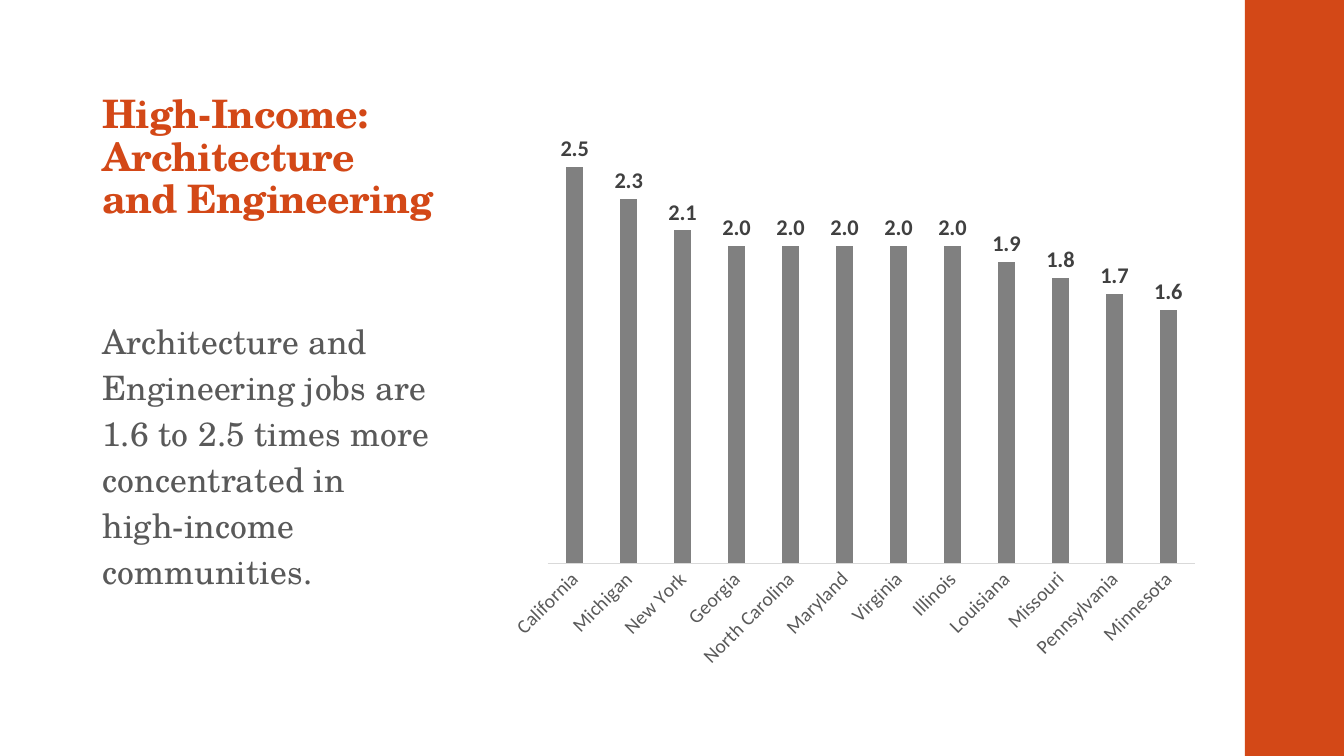
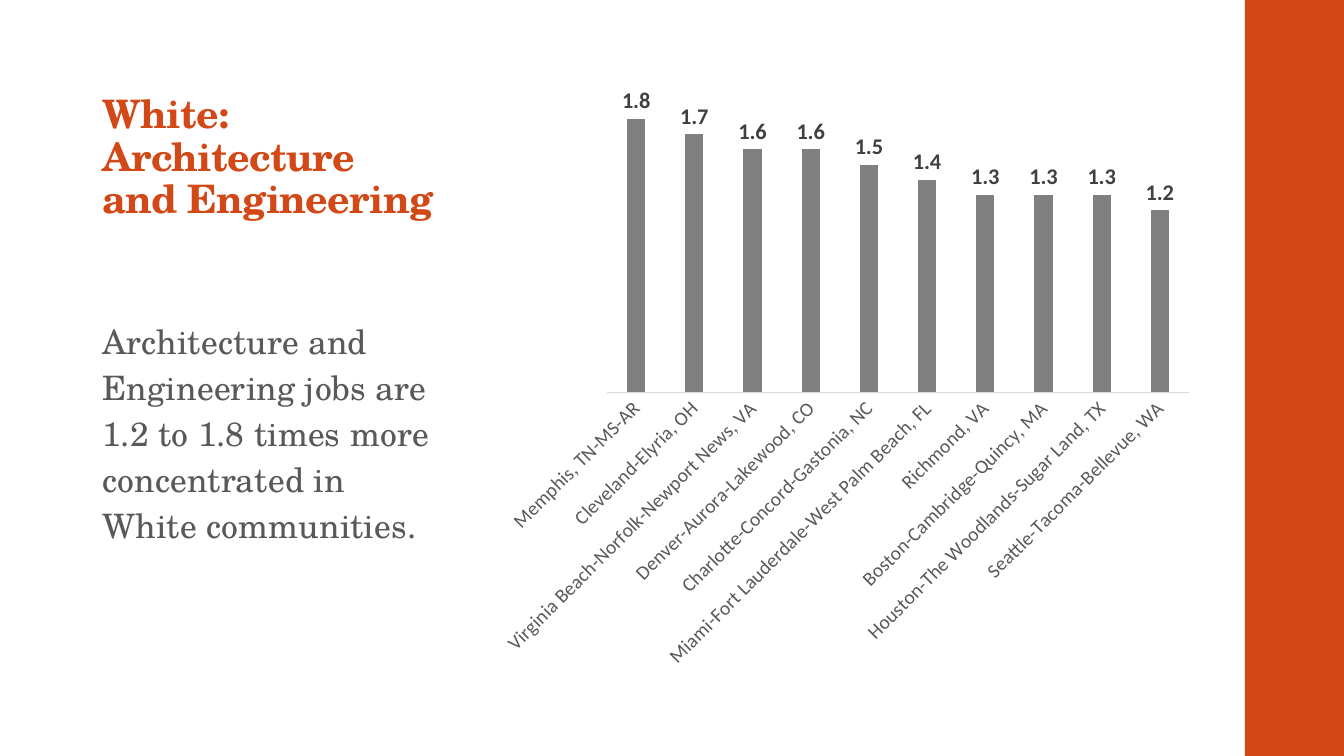
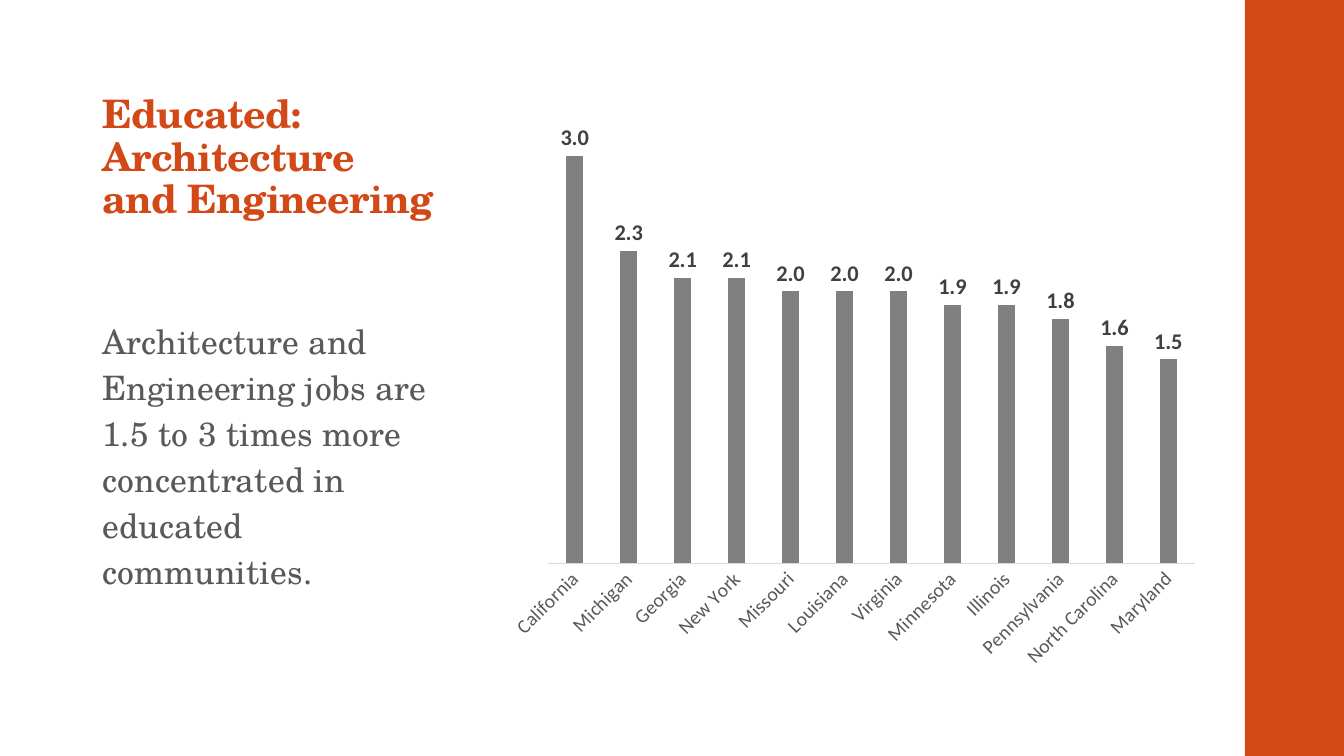
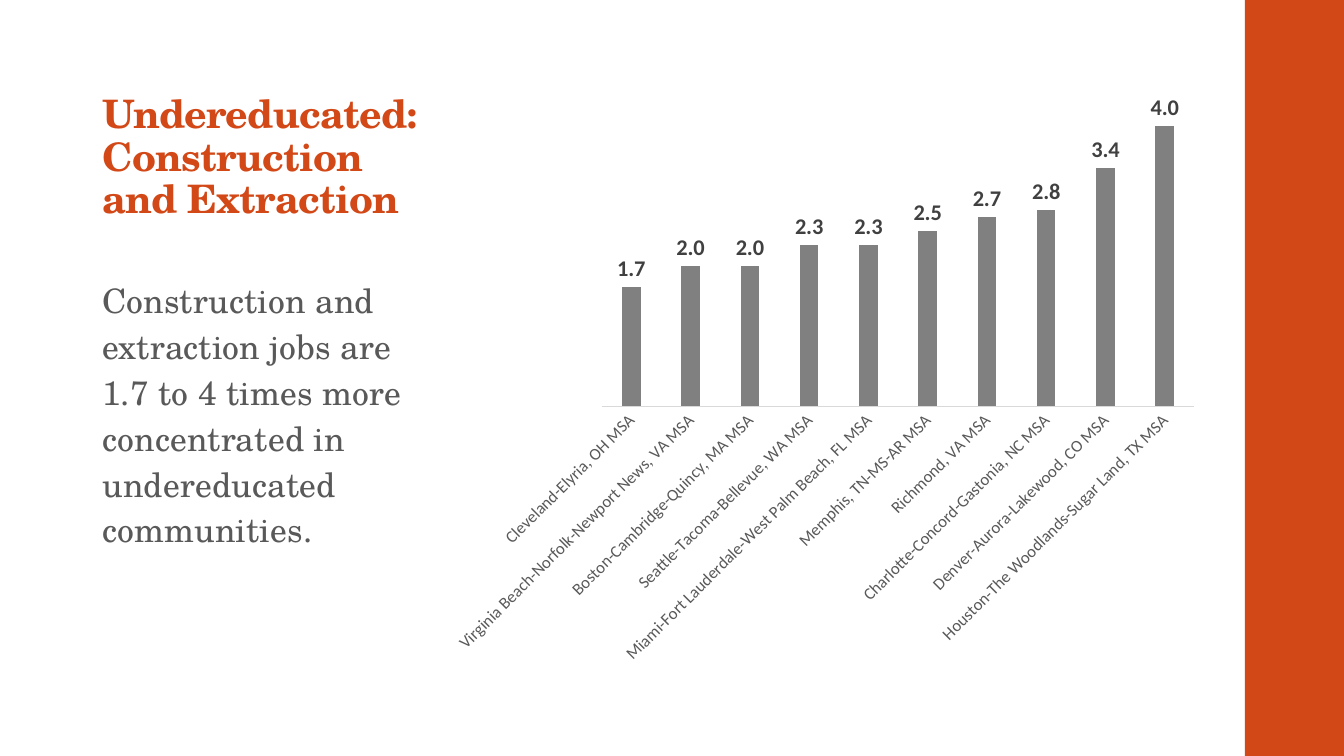
"""Build four slides on job concentration, each with a message and a column chart."""
from dataclasses import dataclass

from lxml import etree
from pptx import Presentation
from pptx.chart.data import CategoryChartData
from pptx.dml.color import RGBColor
from pptx.enum.chart import XL_CHART_TYPE, XL_LABEL_POSITION, XL_TICK_LABEL_POSITION, XL_TICK_MARK
from pptx.enum.shapes import MSO_SHAPE
from pptx.enum.text import MSO_ANCHOR
from pptx.oxml import parse_xml
from pptx.oxml.ns import nsdecls, qn
from pptx.util import Pt

COLUMNS = XL_CHART_TYPE.COLUMN_CLUSTERED
OUTSIDE_END = XL_LABEL_POSITION.OUTSIDE_END
NEXT_TO_AXIS = XL_TICK_LABEL_POSITION.NEXT_TO_AXIS
NO_TICK = XL_TICK_MARK.NONE
RECTANGLE = MSO_SHAPE.RECTANGLE
TOP, BOTTOM = MSO_ANCHOR.TOP, MSO_ANCHOR.BOTTOM


@dataclass(frozen=True)
class Theme:
    """Colours, fonts and type sizes."""
    accent: RGBColor = RGBColor(0xD3, 0x48, 0x17)
    text: RGBColor = RGBColor(0x59, 0x59, 0x59)
    value: RGBColor = RGBColor(0x40, 0x40, 0x40)
    column: RGBColor = RGBColor(0x80, 0x80, 0x80)
    axis: RGBColor = RGBColor(0xD9, 0xD9, 0xD9)
    black: RGBColor = RGBColor(0, 0, 0)
    text_font: str = "TeX Gyre Schola"
    chart_font: str = "Calibri"
    title_size: float = 28
    body_size: float = 24
    value_size: float = 16
    chart_size: float = 10


class Deck:
    """Holds the presentation, its theme and the current slide."""

    def __init__(self, theme):
        """Start an empty widescreen presentation."""
        self.theme = theme
        self.slide = None
        self.presentation = Presentation()
        self.presentation.slide_width = Pt(960)
        self.presentation.slide_height = Pt(540)

    def add_slide(self):
        """Add a blank slide with the side band."""
        self.slide = self.presentation.slides.add_slide(self.presentation.slide_layouts[6])
        band = self.slide.shapes.add_shape(RECTANGLE, Pt(889.2), 0, Pt(70.8), Pt(540))
        band.shadow.inherit = False
        band.fill.solid()
        band.fill.fore_color.rgb = self.theme.accent
        band.line.fill.background()

    def style_font(self, font, name, size, color, bold=False):
        """Set the face, size, colour and weight of a font."""
        font.name = name
        font.size = Pt(size)
        font.color.rgb = color
        font.bold = bold

    def add_text(self, text, top, height, anchor, margin_top, size, color, bold, spacing):
        """Add a text box in the left column and return its paragraph."""
        box = self.slide.shapes.add_textbox(Pt(66.2), Pt(top), Pt(252), Pt(height))
        frame = box.text_frame
        frame.word_wrap = True
        frame.vertical_anchor = anchor
        frame.margin_top = Pt(margin_top)
        frame.text = text
        paragraph = frame.paragraphs[0]
        run = paragraph.runs[0]
        self.style_font(run.font, self.theme.text_font, size, color, bold)
        run._r.get_or_add_rPr().set("spc", str(spacing))
        return paragraph

    def add_title(self, text):
        """Add the bold title, standing on the bottom of its box."""
        theme = self.theme
        paragraph = self.add_text(text, 36, 126, BOTTOM, 2.2, theme.title_size,
                                  theme.accent, True, -50)
        paragraph.line_spacing = 0.9

    def add_body(self, text, drop):
        """Add the message, lowered by the given length inside its box."""
        theme = self.theme
        paragraph = self.add_text(text, 165.6, 300.2, TOP, 3.6 + drop, theme.body_size,
                                  theme.text, False, 10)
        paragraph.line_spacing = 1.14
        paragraph.space_before = Pt(8)
        paragraph.space_after = Pt(2)

    def add_chart(self, data, maximum, left, label_size, plot_area):
        """Add a column chart that ends at the shared right edge."""
        theme = self.theme
        width, height = 864 - left, 432
        chart_data = CategoryChartData()
        chart_data.categories = list(data)
        chart_data.add_series("Series 1", list(data.values()))
        chart = self.slide.shapes.add_chart(COLUMNS, Pt(left), Pt(54), Pt(width), Pt(height),
                                            chart_data).chart
        chart.has_title = False
        chart.has_legend = False
        self.style_font(chart.font, theme.text_font, theme.chart_size, theme.black)
        self.style_axes(chart, maximum, label_size)
        self.style_columns(chart.plots[0])
        if plot_area:
            self.place_plot(chart, plot_area, width, height)

    def style_axes(self, chart, maximum, label_size):
        """Hide the value axis and slant the category labels."""
        value_axis = chart.value_axis
        value_axis.minimum_scale = 0
        value_axis.maximum_scale = maximum
        value_axis.has_major_gridlines = False
        value_axis.visible = False
        category_axis = chart.category_axis
        for axis in (value_axis, category_axis):
            axis.major_tick_mark = NO_TICK
            axis.minor_tick_mark = NO_TICK
            axis.tick_label_position = NEXT_TO_AXIS
        category_axis.format.line.color.rgb = self.theme.axis
        category_axis.format.line.width = Pt(0.75)
        self.style_font(category_axis.tick_labels.font, self.theme.chart_font, label_size,
                        self.theme.text)
        label_body = category_axis._element.find(qn("c:txPr")).find(qn("a:bodyPr"))
        label_body.set("rot", "-2700000")
        label_body.set("vert", "horz")

    def style_columns(self, plot):
        """Colour the columns and label them with their values."""
        plot.vary_by_categories = False
        plot.gap_width = 219
        plot.overlap = -27
        fill = plot.series[0].format.fill
        fill.solid()
        fill.fore_color.rgb = self.theme.column
        plot.has_data_labels = True
        labels = plot.data_labels
        labels.show_value = True
        labels.position = OUTSIDE_END
        labels.number_format = "#,##0.0"
        labels.number_format_is_linked = False
        self.style_font(labels.font, self.theme.chart_font, self.theme.value_size,
                        self.theme.value, True)

    def place_plot(self, chart, plot_area, width, height):
        """Fix the inner plot area, given in points within the chart."""
        layout = parse_xml(f"<c:layout {nsdecls('c')}><c:manualLayout/></c:layout>")
        settings = [("layoutTarget", "inner"), ("xMode", "edge"), ("yMode", "edge")]
        for name, length, whole in zip("xywh", plot_area, (width, height) * 2):
            settings.append((name, length / whole))
        for name, value in settings:
            etree.SubElement(layout[0], qn(f"c:{name}")).set("val", str(value))
        plot_element = chart._chartSpace.chart.plotArea
        for previous in plot_element.findall(qn("c:layout")):
            plot_element.remove(previous)
        plot_element.insert(0, layout)

    def add_finding(self, title, body, data, maximum, drop=55.8, left=355, label_size=14,
                    plot_area=None):
        """Add a slide with a title, a message and its chart."""
        self.add_slide()
        self.add_title(title)
        self.add_chart(data, maximum, left, label_size, plot_area)
        self.add_body(body, drop)


HIGH_INCOME = {
    "California": 2.5, "Michigan": 2.3, "New York": 2.1, "Georgia": 2.0,
    "North Carolina": 2.0, "Maryland": 2.0, "Virginia": 2.0, "Illinois": 2.0,
    "Louisiana": 1.9, "Missouri": 1.8, "Pennsylvania": 1.7, "Minnesota": 1.6,
}
WHITE = {
    "Memphis, TN-MS-AR": 1.8,
    "Cleveland-Elyria, OH": 1.7,
    "Virginia Beach-Norfolk-Newport News, VA": 1.6,
    "Denver-Aurora-Lakewood, CO": 1.6,
    "Charlotte-Concord-Gastonia, NC": 1.5,
    "Miami-Fort Lauderdale-West Palm Beach, FL": 1.4,
    "Richmond, VA": 1.3,
    "Boston-Cambridge-Quincy, MA": 1.3,
    "Houston-The Woodlands-Sugar Land, TX": 1.3,
    "Seattle-Tacoma-Bellevue, WA": 1.2,
}
EDUCATED = {
    "California": 3.0, "Michigan": 2.3, "Georgia": 2.1, "New York": 2.1,
    "Missouri": 2.0, "Louisiana": 2.0, "Virginia": 2.0, "Minnesota": 1.9,
    "Illinois": 1.9, "Pennsylvania": 1.8, "North Carolina": 1.6, "Maryland": 1.5,
}
UNDEREDUCATED = {
    "Cleveland-Elyria, OH MSA": 1.7,
    "Virginia Beach-Norfolk-Newport News, VA MSA": 2.0,
    "Boston-Cambridge-Quincy, MA MSA": 2.0,
    "Seattle-Tacoma-Bellevue, WA MSA": 2.3,
    "Miami-Fort Lauderdale-West Palm Beach, FL MSA": 2.3,
    "Memphis, TN-MS-AR MSA": 2.5,
    "Richmond, VA MSA": 2.7,
    "Charlotte-Concord-Gastonia, NC MSA": 2.8,
    "Denver-Aurora-Lakewood, CO MSA": 3.4,
    "Houston-The Woodlands-Sugar Land, TX MSA": 4.0,
}

deck = Deck(Theme())
for group, span, community, data, maximum, plot_area in (
    ("High-Income", "1.6 to 2.5", "high-income", HIGH_INCOME, 3, None),
    ("White", "1.2 to 1.8", "White", WHITE, 2, (78.6, 9.4, 415.7, 217)),
    ("Educated", "1.5 to 3", "educated", EDUCATED, 3.5, None),
):
    deck.add_finding(
        f"{group}: Architecture and Engineering",
        f"Architecture and Engineering jobs are {span} times more concentrated in "
        f"{community} communities.",
        data, maximum, plot_area=plot_area)
deck.add_finding(
    "Undereducated: Construction and Extraction",
    "Construction and extraction jobs are 1.7 to 4 times more concentrated in "
    "undereducated communities.",
    UNDEREDUCATED, 4.5, drop=26.5, left=324, label_size=12,
    plot_area=(105.8, 10.8, 423.4, 225.5))
deck.presentation.save("out.pptx")
